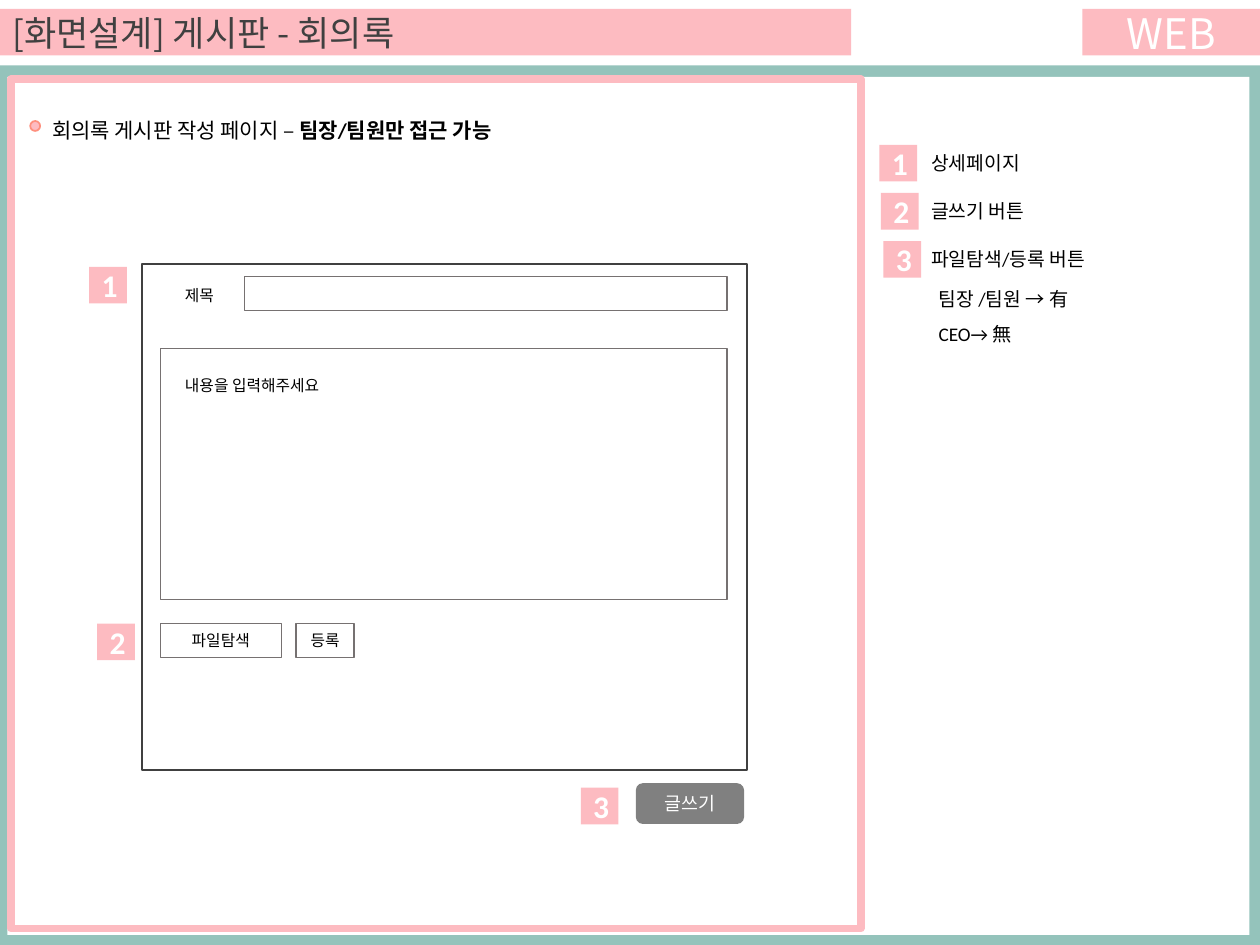
from pptx import Presentation
from pptx.dml.color import RGBColor
from pptx.enum.shapes import MSO_SHAPE
from pptx.enum.text import MSO_ANCHOR, MSO_AUTO_SIZE, PP_ALIGN
from pptx.util import Cm, Pt

PINK, TEAL, WHITE, BLACK = "FDBBC1", "94C3BB", "FFFFFF", "000000"
DARK, GRAY, MID, CORAL = "404040", "767171", "808080", "FE907E"
SANS, NOTO = "Calibri", "Noto Sans CJK KR"


def paint(color, tone):
    """Set a colour format to a hex colour."""
    color.rgb = RGBColor.from_string(tone)


def write(frame, text, size=9, font=SANS, tone=BLACK, bold=False,
          align=PP_ALIGN.LEFT, space=None):
    """Append text to a frame, one paragraph for each line."""
    for index, line in enumerate(text.split("\n")):
        para = frame.add_paragraph() if index else frame.paragraphs[-1]
        para.alignment = align
        para.line_spacing = space
        run = para.add_run()
        run.text = line
        run.font.size = Pt(size)
        run.font.name = font
        run.font.bold = bold
        paint(run.font.color, tone)


def block(slide, area, fill=None, line=None, width=0.75,
          kind=MSO_SHAPE.RECTANGLE, text=None, **style):
    """Draw a preset shape with optional text in its middle."""
    shape = slide.shapes.add_shape(kind, *map(Cm, area))
    shape.shadow.inherit = False
    if fill:
        shape.fill.solid()
        paint(shape.fill.fore_color, fill)
    else:
        shape.fill.background()
    if line:
        paint(shape.line.color, line)
        shape.line.width = Pt(width)
    else:
        shape.line.fill.background()
    if text:
        shape.text_frame.vertical_anchor = MSO_ANCHOR.MIDDLE
        write(shape.text_frame, text, **{"align": PP_ALIGN.CENTER, **style})


def label(slide, area, text, wrap=True, **style):
    """Add a text box and return its frame."""
    frame = slide.shapes.add_textbox(*map(Cm, area)).text_frame
    frame.word_wrap = wrap
    frame.auto_size = MSO_AUTO_SIZE.SHAPE_TO_FIT_TEXT
    write(frame, text, **style)
    return frame


def badge(slide, left, top, text):
    """Draw a numbered pink square."""
    block(slide, (left, top, 0.76, 0.74), PINK,
          text=text, size=18, tone=WHITE, bold=True)


def frames(slide):
    """Draw the page frames, the title bar and the heading."""
    block(slide, (0, 1.32, 25.4, 17.73), TEAL)
    block(slide, (0.15, 1.55, 25.04, 17.3), WHITE)
    block(slide, (0.23, 1.6, 17.12, 17.12), line=PINK, width=4.5)
    block(slide, (0, 0.18, 17.16, 0.94), PINK, text="[화면설계] 게시판 - 회의록",
          size=20, font=NOTO, tone=DARK, align=PP_ALIGN.LEFT)
    block(slide, (21.82, 0.18, 3.58, 0.94), PINK, text="WEB",
          size=24, font=NOTO, tone=WHITE)
    block(slide, (0.61, 2.44, 0.2, 0.2), PINK, CORAL, 1, MSO_SHAPE.OVAL)
    head = label(slide, (0.8, 2.24, 10.45, 0.76),
                 "회의록 게시판 작성 페이지 – ", size=12)
    write(head, "팀장/팀원만 접근 가능", size=12, bold=True)


def form(slide):
    """Draw the form for writing minutes."""
    block(slide, (2.87, 5.33, 12.19, 10.19), line=DARK, width=1)
    block(slide, (4.93, 5.58, 9.73, 0.68), line=GRAY)
    block(slide, (3.23, 7.03, 11.43, 5.05), line=GRAY)
    label(slide, (3.48, 5.63, 1.14, 0.64), "제목", wrap=False)
    label(slide, (3.48, 7.45, 3.48, 0.64), "내용을 입력해주세요", wrap=False)
    for left, width, text in ((3.23, 2.44, "파일탐색"), (5.97, 1.17, "등록")):
        block(slide, (left, 12.57, width, 0.68), line=GRAY, text=text)
    block(slide, (12.82, 15.79, 2.18, 0.82), MID,
          kind=MSO_SHAPE.ROUNDED_RECTANGLE, text="글쓰기",
          size=10.5, font=NOTO, tone=WHITE)
    for left, top, text in ((1.8, 5.38, "1"), (1.96, 12.57, "2"),
                            (11.71, 15.88, "3")):
        badge(slide, left, top, text)


def notes(slide):
    """List what each number on the form stands for."""
    items = ((17.73, "상세페이지"), (17.76, "글쓰기 버튼"),
             (17.81, "파일탐색/등록 버튼"))
    for index, (left, text) in enumerate(items):
        top = 2.92 + index * 0.97
        badge(slide, left, top, str(index + 1))
        label(slide, (18.52, top, 7.01, 0.74), text, size=11)
    label(slide, (18.67, 5.44, 4.34, 1.6), "팀장 /팀원 → 有\nCEO→ 無",
          size=11, space=1.5)


def main():
    """Build and save the slide."""
    deck = Presentation()
    deck.slide_width, deck.slide_height = Cm(25.4), Cm(19.05)
    slide = deck.slides.add_slide(deck.slide_layouts[6])
    frames(slide)
    form(slide)
    notes(slide)
    deck.save("out.pptx")


if __name__ == "__main__":
    main()
